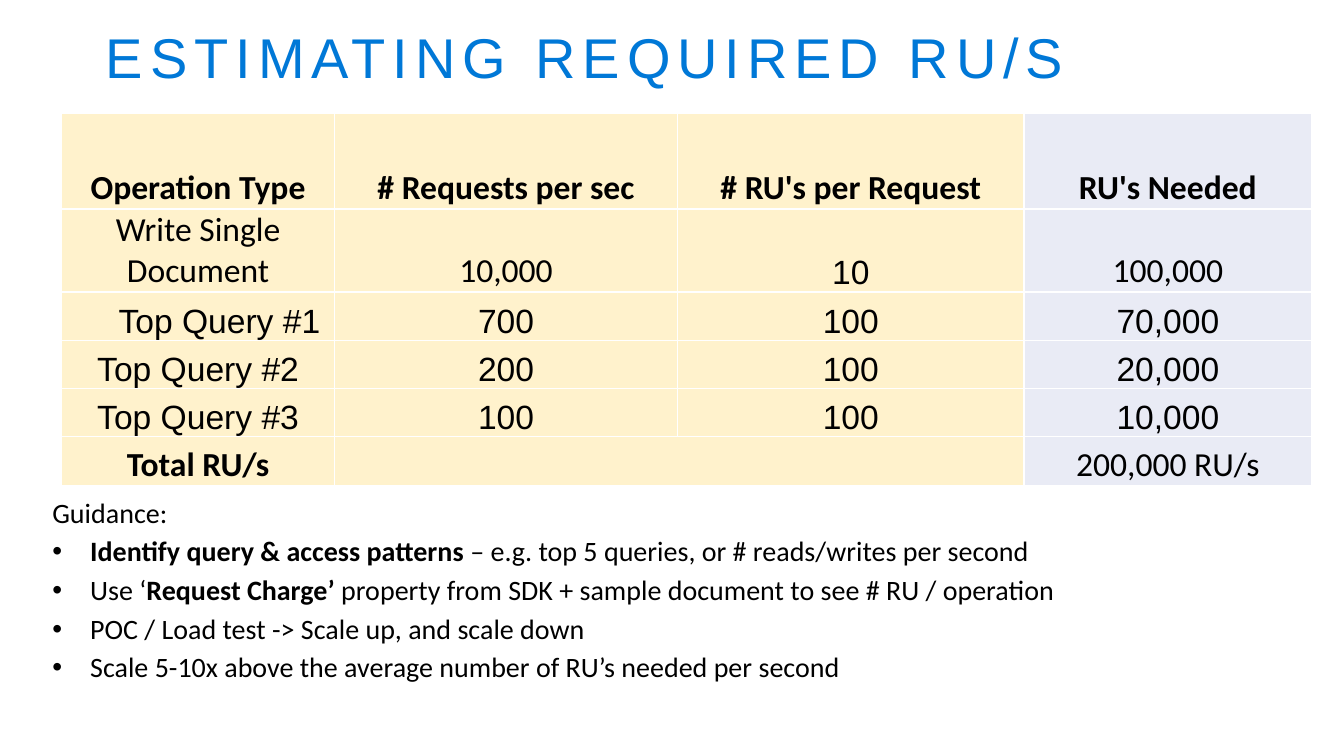
from collections import namedtuple

from lxml.etree import SubElement
from pptx import Presentation
from pptx.dml.color import RGBColor
from pptx.enum.text import MSO_ANCHOR, MSO_AUTO_SIZE, PP_ALIGN
from pptx.oxml.ns import qn
from pptx.util import Pt

Box = namedtuple("Box", "left top width height")

BLACK = RGBColor(0x00, 0x00, 0x00)
WHITE = RGBColor(0xFF, 0xFF, 0xFF)
BLUE = RGBColor(0x00, 0x78, 0xD7)
CREAM = RGBColor(0xFF, 0xF2, 0xCC)
LAVENDER = RGBColor(0xE9, 0xEB, 0xF5)

COLUMN_WIDTHS = [195, 245, 247.5, 205.5]
ROW_HEIGHTS = [68.5, 59, 34.5, 34.5, 34.5, 34.5]
ESTIMATES = [
    ["Operation Type", "# Requests per sec", "# RU's per Request", "RU's Needed"],
    ["Write Single Document", "10,000", "10", "100,000"],
    ["Top Query #1", "700", "100", "70,000"],
    ["Top Query #2", "200", "100", "20,000"],
    ["Top Query #3", "100", "100", "10,000"],
    ["Total RU/s", "", "", "200,000 RU/s"],
]
HEADER, WRITE, FIRST_QUERY, LAST_QUERY, TOTAL = 0, 1, 2, 4, 5

# Each guidance line is a list of (text, bold) spans.
GUIDANCE = [
    [("Guidance:", False)],
    [("Identify query & access patterns ", True),
     ("– e.g. top 5 queries, or # reads/writes per second", False)],
    [("Use ‘", False), ("Request Charge’ ", True),
     ("property from SDK + sample document to see # RU / operation", False)],
    [("POC / Load test -> Scale up, and scale down", False)],
    [("Scale 5-10x above the average number of RU’s needed per second", False)],
]


def place(shape, box):
    """Move and size a shape to fill the box."""
    shape.left, shape.top = Pt(box.left), Pt(box.top)
    shape.width, shape.height = Pt(box.width), Pt(box.height)


def format_span(span, font, size, color=BLACK, bold=False):
    """Set the font, size, colour and weight of a run."""
    span.font.name, span.font.size = font, Pt(size)
    span.font.bold, span.font.color.rgb = bold, color


def set_frame(frame, side, end, anchor):
    """Set the insets and anchor of a placeholder's text frame."""
    frame.margin_left = frame.margin_right = Pt(side)
    frame.margin_top = frame.margin_bottom = Pt(end)
    frame.vertical_anchor = anchor
    frame.word_wrap = True
    frame.auto_size = MSO_AUTO_SIZE.NONE


def add_heading(page, box):
    """Fill the title placeholder with the letter-spaced heading."""
    title = page.shapes.title
    place(title, box)
    frame = title.text_frame
    frame.text = "ESTIMATING REQUIRED RU/S"
    set_frame(frame, 11.5, 7.2, MSO_ANCHOR.BOTTOM)
    para = frame.paragraphs[0]
    para.alignment, para.line_spacing = PP_ALIGN.CENTER, 0.9
    span = para.runs[0]
    format_span(span, "Arial", 40, BLUE)
    span.font._element.set("spc", "500")


def add_borders(cell):
    """Draw a thin white line on all four sides of a cell."""
    properties = cell._tc.get_or_add_tcPr()
    for position, side in enumerate(("a:lnL", "a:lnR", "a:lnT", "a:lnB")):
        line = SubElement(properties, qn(side), w=str(Pt(1)))
        fill = SubElement(line, qn("a:solidFill"))
        SubElement(fill, qn("a:srgbClr"), val=str(WHITE))
        properties.insert(position, line)


def cell_font(row, column):
    """Return the font of a cell: Arial for the query figures."""
    is_query = FIRST_QUERY <= row <= LAST_QUERY
    return "Arial" if is_query or (row, column) == (WRITE, 2) else "Calibri"


def fill_cell(cell, row, column):
    """Write and format one cell of the estimate table."""
    cell.fill.solid()
    cell.fill.fore_color.rgb = LAVENDER if column == 3 else CREAM
    add_borders(cell)
    cell.margin_left = cell.margin_right = cell.margin_top = Pt(0.7)
    cell.margin_bottom = Pt(0)
    cell.vertical_anchor = MSO_ANCHOR.BOTTOM
    cell.text = ESTIMATES[row][column]
    para = cell.text_frame.paragraphs[0]
    para.alignment = PP_ALIGN.CENTER
    if (row, column) == (FIRST_QUERY, 0):
        para.alignment = PP_ALIGN.LEFT
        para._p.get_or_add_pPr().set("marL", str(Pt(40)))
    bold = row == HEADER or (row, column) == (TOTAL, 0)
    for span in para.runs:
        format_span(span, cell_font(row, column), 24, bold=bold)


def add_estimates(page, box):
    """Add the table of operations, rates and request units."""
    table = page.shapes.add_table(
        len(ROW_HEIGHTS), len(COLUMN_WIDTHS), *map(Pt, box)).table
    table.first_row = table.horz_banding = False
    for column, width in zip(table.columns, COLUMN_WIDTHS):
        column.width = Pt(width)
    for row, height in zip(table.rows, ROW_HEIGHTS):
        row.height = Pt(height)
    for row in range(len(ROW_HEIGHTS)):
        for column in range(len(COLUMN_WIDTHS)):
            fill_cell(table.cell(row, column), row, column)
    table.cell(TOTAL, 1).merge(table.cell(TOTAL, 2))


def set_bullet(para, bulleted):
    """Give a paragraph a hanging bullet, or none."""
    properties = para._p.get_or_add_pPr()
    indent = Pt(27) if bulleted else 0
    properties.set("marL", str(indent))
    properties.set("indent", str(-indent))
    if bulleted:
        SubElement(properties, qn("a:buFont"), typeface="Arial")
        SubElement(properties, qn("a:buChar"), char="•")
    else:
        SubElement(properties, qn("a:buNone"))


def add_guidance(page, box):
    """Fill the body placeholder with the guidance list."""
    body = page.placeholders[1]
    place(body, box)
    frame = body.text_frame
    set_frame(frame, 14.4, 11.5, MSO_ANCHOR.TOP)
    for index, spans in enumerate(GUIDANCE):
        para = frame.add_paragraph() if index else frame.paragraphs[0]
        para.alignment, para.line_spacing = PP_ALIGN.LEFT, 0.9
        para.space_before, para.space_after = Pt(0), Pt(6)
        set_bullet(para, bulleted=index > 0)
        for text, bold in spans:
            span = para.add_run()
            span.text = text
            format_span(span, "Calibri", 20, bold=bold)


def build_estimate_page(deck):
    """Add the page with heading, estimate table and guidance."""
    page = deck.slides.add_slide(deck.slide_layouts[1])
    add_heading(page, Box(-41, 1.5, 918, 70.5))
    add_estimates(page, Box(44, 80.8, sum(COLUMN_WIDTHS), sum(ROW_HEIGHTS)))
    add_guidance(page, Box(23, 345, 852, 188.5))


deck = Presentation()
deck.slide_width, deck.slide_height = Pt(960), Pt(540)
build_estimate_page(deck)
deck.save("out.pptx")
